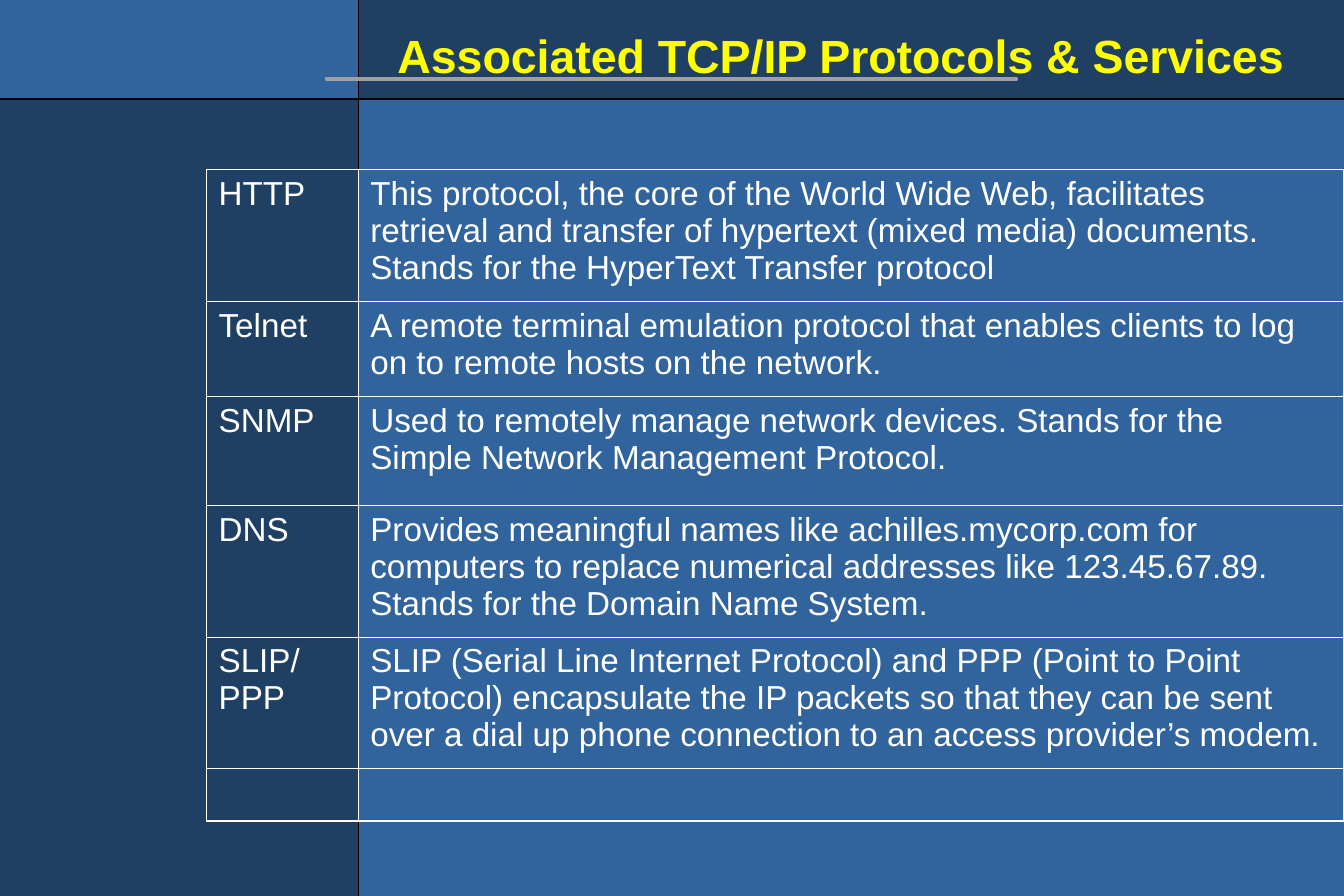
from lxml import etree
from pptx import Presentation
from pptx import util as u
from pptx.dml.color import RGBColor
from pptx.enum import shapes, text
from pptx.oxml import ns

COLOURS = {
    "blue": "31639C",
    "navy": "1F3F63",
    "black": "000000",
    "yellow": "FFFF00",
    "white": "FFFFFF",
    "grey": "A0A0A0",
}
WIDTH, HEIGHT = 11.25, 7.5
BAND_WIDTH, BAND_HEIGHT = 3, 0.83
COLUMN_WIDTHS = [1.27, 8.25]
ROW_HEIGHTS = [1.1, 0.8, 0.91, 1.1, 1.1, 0.44]
THIN, THICK = 0.45, 1.08
PROTOCOLS = [
    ("HTTP", "This protocol, the core of the World Wide Web, facilitates retrieval and transfer of "
             "hypertext (mixed media) documents. Stands for the HyperText Transfer protocol"),
    ("Telnet", "A remote terminal emulation protocol that enables clients to log on to remote hosts "
               "on the network."),
    ("SNMP", "Used to remotely manage network devices. Stands for the Simple Network Management "
             "Protocol."),
    ("DNS", "Provides meaningful names like achilles.mycorp.com for computers to replace numerical "
            "addresses like 123.45.67.89. Stands for the Domain Name System."),
    ("SLIP/ PPP", "SLIP (Serial Line Internet Protocol) and PPP (Point to Point Protocol) encapsulate "
                  "the IP packets so that they can be sent over a dial up phone connection to an "
                  "access provider’s modem."),
    ("", ""),
]


def colour(name):
    return RGBColor.from_string(COLOURS[name])


def add_panel(slide, left, top, width, height, fill):
    shape = slide.shapes.add_shape(
        shapes.MSO_SHAPE.RECTANGLE,
        u.Inches(left), u.Inches(top), u.Inches(width), u.Inches(height))
    shape.shadow.inherit = False
    shape.fill.solid()
    shape.fill.fore_color.rgb = colour(fill)
    shape.line.fill.background()
    return shape


def add_rule(slide, start_x, start_y, end_x, end_y):
    connector = slide.shapes.add_connector(
        shapes.MSO_CONNECTOR.STRAIGHT,
        u.Inches(start_x), u.Inches(start_y), u.Inches(end_x), u.Inches(end_y))
    connector.line.color.rgb = colour("black")
    connector.line.width = u.Pt(1)
    etree.SubElement(connector._element.spPr, ns.qn("a:effectLst"))


def format_runs(paragraph, size, fill, bold=False):
    for run in paragraph.runs:
        run.font.name = "Arial"
        run.font.size = u.Pt(size)
        run.font.bold = bold
        run.font.color.rgb = colour(fill)


def add_title(slide, title):
    shape = slide.shapes.add_textbox(
        u.Inches(3.19), u.Inches(0.17), u.Inches(7.69), u.Inches(0.58))
    frame = shape.text_frame
    frame.word_wrap = True
    frame.margin_left = frame.margin_right = 0
    frame.vertical_anchor = text.MSO_ANCHOR.MIDDLE
    frame.text = title
    paragraph = frame.paragraphs[0]
    paragraph.alignment = text.PP_ALIGN.CENTER
    format_runs(paragraph, 28, "yellow", bold=True)


def set_borders(cell, widths):
    properties = cell._tc.get_or_add_tcPr()
    for index, (side, width) in enumerate(widths.items()):
        line = etree.Element(ns.qn(f"a:ln{side}"), w=str(u.Pt(width)))
        fill = etree.SubElement(line, ns.qn("a:solidFill"))
        etree.SubElement(fill, ns.qn("a:srgbClr"), val=COLOURS["white"])
        properties.insert(index, line)


def fill_cell(cell, content):
    cell.fill.background()
    cell.margin_left = cell.margin_right = u.Inches(0.1)
    cell.margin_top = cell.margin_bottom = u.Inches(0.05)
    paragraph = cell.text_frame.paragraphs[0]
    if content:
        paragraph.text = content
    paragraph.space_before = u.Pt(5)
    format_runs(paragraph, 20, "white")


def add_protocol_table(slide):
    last_row, last_column = len(ROW_HEIGHTS) - 1, len(COLUMN_WIDTHS) - 1
    table = slide.shapes.add_table(
        len(ROW_HEIGHTS), len(COLUMN_WIDTHS), u.Inches(1.73), u.Inches(1.42),
        u.Inches(sum(COLUMN_WIDTHS)), u.Inches(sum(ROW_HEIGHTS))).table
    table.first_row = table.horz_banding = False
    for column, width in zip(table.columns, COLUMN_WIDTHS):
        column.width = u.Inches(width)
    for row_index, height in enumerate(ROW_HEIGHTS):
        table.rows[row_index].height = u.Inches(height)
        for column_index, content in enumerate(PROTOCOLS[row_index]):
            cell = table.cell(row_index, column_index)
            fill_cell(cell, content)
            set_borders(cell, {
                "L": THICK if column_index == 0 else THIN,
                "R": THICK if column_index == last_column else THIN,
                "T": THICK if row_index == 0 else THIN,
                "B": THICK if row_index == last_row else THIN,
            })


def main():
    presentation = Presentation()
    presentation.slide_width = u.Inches(WIDTH)
    presentation.slide_height = u.Inches(HEIGHT)
    slide = presentation.slides.add_slide(presentation.slide_layouts[6])
    slide.background.fill.solid()
    slide.background.fill.fore_color.rgb = colour("blue")

    add_panel(slide, 0, 0, WIDTH, BAND_HEIGHT, "navy")
    add_panel(slide, 0, 0, BAND_WIDTH, HEIGHT, "navy")
    add_panel(slide, 0, 0, BAND_WIDTH, BAND_HEIGHT, "blue")
    add_rule(slide, BAND_WIDTH, 0, BAND_WIDTH, HEIGHT)
    add_rule(slide, WIDTH, BAND_HEIGHT, 0, BAND_HEIGHT)
    add_title(slide, "Associated TCP/IP Protocols & Services")
    underline = add_panel(slide, 2.73, 0.65, 5.78, 0.02, "grey")
    underline.line.color.rgb = colour("grey")
    underline.line.width = u.Pt(1.39)
    add_protocol_table(slide)

    presentation.save("out.pptx")


if __name__ == "__main__":
    main()
